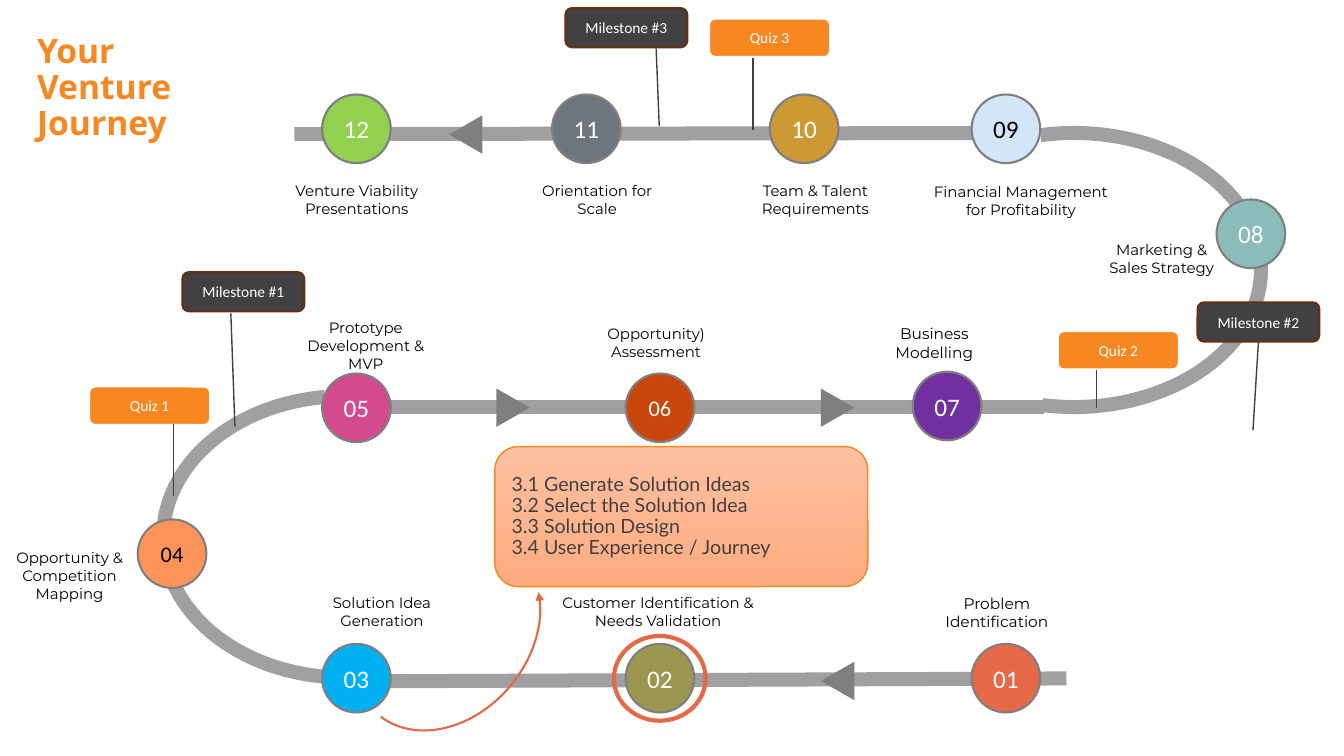
from dataclasses import dataclass
from typing import Any, Optional

from lxml import etree
from pptx import Presentation
from pptx.dml.color import RGBColor
from pptx.enum.shapes import MSO_CONNECTOR, MSO_SHAPE
from pptx.enum.text import MSO_ANCHOR, MSO_AUTO_SIZE, PP_ALIGN
from pptx.oxml.ns import qn
from pptx.util import Pt

ARC, OVAL, TAG, TRIANGLE = MSO_SHAPE.ARC, MSO_SHAPE.OVAL, MSO_SHAPE.ROUNDED_RECTANGLE, MSO_SHAPE.ISOSCELES_TRIANGLE
STRAIGHT = MSO_CONNECTOR.STRAIGHT
MIDDLE, TOP = MSO_ANCHOR.MIDDLE, MSO_ANCHOR.TOP
CENTER, LEFT = PP_ALIGN.CENTER, PP_ALIGN.LEFT
FIT_SHAPE = MSO_AUTO_SIZE.SHAPE_TO_FIT_TEXT
BOTTOM_SITE = 2


@dataclass(frozen=True)
class Theme:
    road: str = "A09FA1"
    outline: str = "7F7F7F"
    coral: str = "E56947"
    orange: str = "F68721"
    dark: str = "414042"
    rust: str = "6A2D12"
    white: str = "FFFFFF"
    black: str = "000000"
    panel_top: str = "FDC1A2"
    panel_bottom: str = "FFAB7F"
    number_font: str = "Calibri"
    label_font: str = "Montserrat"
    panel_font: str = "Lato"
    title_font: str = "Open Sans"
    title_size: float = 24
    number_size: float = 18
    small_number_size: float = 16
    panel_size: float = 14
    tag_size: float = 11
    label_size: float = 10.7
    large_label_size: float = 11


THEME = Theme()
STOP_DIAMETER = 49
TAG_WIDTH, TAG_HEIGHT = 87, 28
ARROW_WIDTH, ARROW_HEIGHT = 27.4, 23.8
Box = tuple[float, float, float, float]
Point = tuple[float, float]


@dataclass(frozen=True)
class Curve:
    box: Box
    angles: Point
    color: str = THEME.road
    weight: float = 10
    flipped: bool = False
    rotation: float = 0
    arrow: bool = False


@dataclass(frozen=True)
class Stop:
    number: str
    x: float
    y: float
    color: str
    ink: str = THEME.white
    size: float = THEME.number_size


@dataclass(frozen=True)
class Label:
    box: Box
    lines: tuple[str, ...]
    size: float = THEME.label_size


@dataclass(frozen=True)
class Flag:
    text: str
    left: float
    top: float
    start: Point
    end: Point
    milestone: bool
    joined: bool = False


ROADS = (((210.2, 95.8), (733, 95)), ((274.3, 290.9), (745.9, 290.9)), ((260.6, 486.7), (761.8, 484.6)))
BENDS = (
    Curve((633.6, 95, 267.1, 195.8), (153.62, 61.89)),
    Curve((116.6, 283, 258.5, 200.9), (166.7, 49.66), flipped=True),
)
DETAIL_ARROW = Curve((243.4, 393.8, 151.9, 117.4), (109.11, 200.86), THEME.coral, 1.5, True, 130.4, True)
STOPS = (
    Stop("01", 718.5, 484.4, THEME.coral),
    Stop("02", 471.4, 484.4, "9B9750"),
    Stop("03", 254.6, 484.4, "00B0F0"),
    Stop("04", 122.9, 395.5, "FE945A", THEME.black, THEME.small_number_size),
    Stop("05", 254.6, 291.3, "D34B8D"),
    Stop("06", 471.4, 291.3, "C9460C", size=THEME.small_number_size),
    Stop("07", 676.5, 290, "7030A0"),
    Stop("08", 893.5, 167, "8ABCB9"),
    Stop("09", 718.5, 92, "D2E6F7", THEME.black),
    Stop("10", 574.4, 92, "CD9934"),
    Stop("11", 418.8, 92, "6E757D"),
    Stop("12", 254.6, 92, "92D050"),
)
ARROWS = ((598.3, 486.4, 270), (332.6, 96.1, 270), (366.5, 291.2, 90), (598.3, 291.2, 90))
LABELS = (
    Label((661, 420.5, 102.2, 34), ("Problem Identification",), THEME.large_label_size),
    Label((394.5, 420.5, 151.2, 33), ("Customer Identification & Needs Validation",)),
    Label((197.3, 420.5, 151.2, 33), ("Solution Idea", "Generation")),
    Label((0, 388, 99.4, 46), ("Opportunity & Competition Mapping",)),
    Label((210.2, 224, 102.2, 46), ("Prototype Development & MVP",)),
    Label((417.6, 228.2, 102.2, 33), ("Opportunity) Assessment",)),
    Label((616.3, 228.2, 102.2, 34), ("Business Modelling",), THEME.large_label_size),
    Label((778.3, 168.5, 103, 33), ("Marketing & Sales Strategy",)),
    Label((656.6, 126.7, 145.4, 33), ("Financial Management for Profitability",)),
    Label((531.4, 126, 102.2, 33), ("Team & Talent Requirements",)),
    Label((367.2, 126, 118.8, 33), ("Orientation for Scale",)),
    Label((203.8, 126, 102.2, 46), ("Venture Viability Presentations",)),
)
FLAGS = (
    Flag("Milestone #1", 130.3, 194.4, (164.9, 223.9), (167.8, 304.6), True),
    Flag("Milestone #2", 855.4, 216, (898.9, 244), (895, 307.4), True, True),
    Flag("Milestone #3", 403.9, 5.8, (468.7, 34.6), (470.9, 90), True),
    Flag("Quiz 1", 63.4, 275.8, (123.8, 303.1), (123.8, 354.2), False),
    Flag("Quiz 2", 755.3, 236.2, (783.4, 264.2), (783.4, 291.6), False),
    Flag("Quiz 3", 506.2, 13, (537.8, 41.8), (537.8, 92.9), False),
)
DETAILS = ("3.1 Generate Solution Ideas", "3.2 Select the Solution Idea", "3.3 Solution Design", "3.4 User Experience / Journey")


def apply_format(target: Any, values: dict[str, Any]) -> None:
    for name, value in values.items():
        setattr(target, name, value)


def set_line(line: Any, color: str, weight: float) -> None:
    line.color.rgb = RGBColor.from_string(color)
    line.width = Pt(weight)


def write(shape: Any, lines: tuple[str, ...], font: str, size: float, color: str, bold: bool = False,
          alignment: Any = CENTER, anchor: Any = MIDDLE, spacing: Optional[float] = None, hanging: float = 0) -> None:
    frame = shape.text_frame
    apply_format(frame, {"word_wrap": True, "vertical_anchor": anchor})
    for index, text in enumerate(lines):
        paragraph = frame.paragraphs[0] if index == 0 else frame.add_paragraph()
        paragraph.text = text
        apply_format(paragraph, {"alignment": alignment, "line_spacing": spacing})
        if hanging:
            properties = paragraph._p.get_or_add_pPr()
            properties.set("marL", str(Pt(hanging)))
            properties.set("indent", str(-Pt(hanging)))
        run_font = paragraph.runs[0].font
        apply_format(run_font, {"name": font, "size": Pt(size), "bold": bold})
        run_font.color.rgb = RGBColor.from_string(color)


def add_shape(slide: Any, kind: Any, box: Box, fill: Optional[str], line: Optional[str] = None, weight: float = 1) -> Any:
    shape = slide.shapes.add_shape(kind, *map(Pt, box))
    shape.shadow.inherit = False
    if fill:
        shape.fill.solid()
        shape.fill.fore_color.rgb = RGBColor.from_string(fill)
    else:
        shape.fill.background()
    if line:
        set_line(shape.line, line, weight)
    else:
        shape.line.fill.background()
    return shape


def add_line(slide: Any, start: Point, end: Point, color: str, weight: float) -> Any:
    connector = slide.shapes.add_connector(STRAIGHT, *map(Pt, start + end))
    set_line(connector.line, color, weight)
    etree.SubElement(connector._element.spPr, qn("a:effectLst"))
    return connector


def add_curve(slide: Any, curve: Curve) -> None:
    shape = add_shape(slide, ARC, curve.box, None, curve.color, curve.weight)
    for index, angle in enumerate(curve.angles):
        shape.adjustments[index] = angle
    shape.rotation = curve.rotation
    if curve.flipped:
        shape._element.spPr.get_or_add_xfrm().set("flipH", "1")
    if curve.arrow:
        etree.SubElement(shape.line._get_or_add_ln(), qn("a:tailEnd")).set("type", "triangle")


def add_text(slide: Any, box: Box, lines: tuple[str, ...], font: str, size: float, color: str, **formats: Any) -> None:
    shape = slide.shapes.add_textbox(*map(Pt, box))
    write(shape, lines, font, size, color, anchor=TOP, **formats)
    shape.text_frame.auto_size = FIT_SHAPE


def add_stop(slide: Any, stop: Stop) -> None:
    radius = STOP_DIAMETER / 2
    box = (stop.x - radius, stop.y - radius, STOP_DIAMETER, STOP_DIAMETER)
    shape = add_shape(slide, OVAL, box, stop.color, THEME.outline, 1.5)
    write(shape, (stop.number,), THEME.number_font, stop.size, stop.ink)


def add_flag(slide: Any, flag: Flag) -> None:
    style = (THEME.dark, THEME.rust, 1.5) if flag.milestone else (THEME.orange, THEME.white, 2)
    shape = add_shape(slide, TAG, (flag.left, flag.top, TAG_WIDTH, TAG_HEIGHT), *style)
    write(shape, (flag.text,), THEME.number_font, THEME.tag_size, THEME.white)
    pole = add_line(slide, flag.start, flag.end, THEME.dark, 1)
    if flag.joined:
        pole.begin_connect(shape, BOTTOM_SITE)


def add_panel(slide: Any) -> None:
    panel = add_shape(slide, TAG, (353.5, 319, 266.4, 100), THEME.panel_top, THEME.orange)
    panel.fill.gradient()
    panel.fill.gradient_angle = 270
    for stop, color in zip(panel.fill.gradient_stops, (THEME.panel_top, THEME.panel_bottom)):
        stop.color.rgb = RGBColor.from_string(color)
    write(panel, DETAILS, THEME.panel_font, THEME.panel_size, THEME.dark, alignment=LEFT, spacing=0.9, hanging=24.5)


def main() -> None:
    presentation = Presentation()
    apply_format(presentation, {"slide_width": Pt(960), "slide_height": Pt(540)})
    slide = presentation.slides.add_slide(presentation.slide_layouts[6])
    for start, end in ROADS:
        add_line(slide, start, end, THEME.road, 10)
    for bend in BENDS:
        add_curve(slide, bend)
    for stop in STOPS:
        add_stop(slide, stop)
    for x, y, rotation in ARROWS:
        box = (x - ARROW_WIDTH / 2, y - ARROW_HEIGHT / 2, ARROW_WIDTH, ARROW_HEIGHT)
        add_shape(slide, TRIANGLE, box, THEME.outline).rotation = rotation
    for label in LABELS:
        add_text(slide, label.box, label.lines, THEME.label_font, label.size, THEME.black)
    add_curve(slide, DETAIL_ARROW)
    add_shape(slide, OVAL, (438.5, 454.3, 65.5, 60.5), None, THEME.coral, 3)
    for flag in FLAGS:
        add_flag(slide, flag)
    add_panel(slide)
    title_box = (19.4, 20.9, 118, 94.3)
    add_text(slide, title_box, ("Your", "Venture", "Journey"), THEME.title_font, THEME.title_size, THEME.orange,
             bold=True, alignment=LEFT, spacing=0.9)
    presentation.save("out.pptx")


if __name__ == "__main__":
    main()
